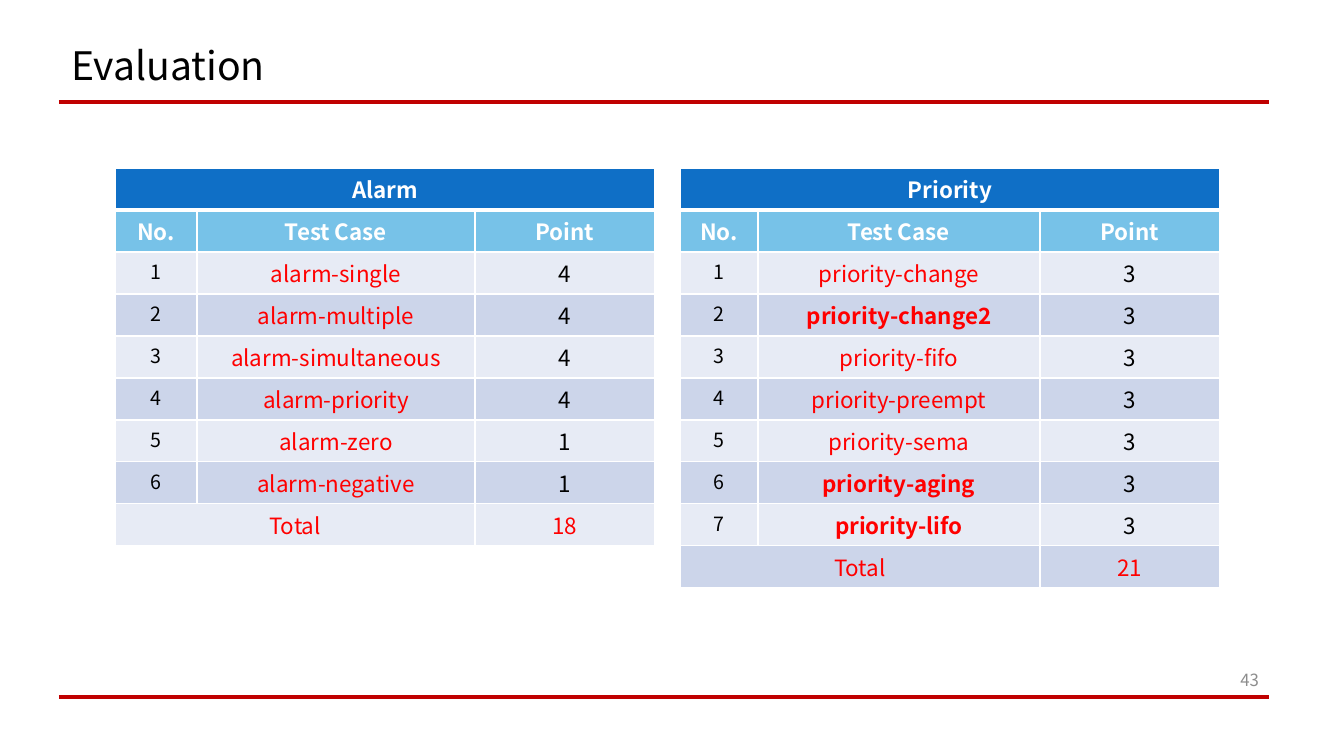
"""Build the Evaluation slide with its two test case tables."""
from lxml.etree import SubElement
from pptx import Presentation
from pptx.dml.color import RGBColor
from pptx.enum.shapes import MSO_CONNECTOR
from pptx.enum.text import MSO_ANCHOR, PP_ALIGN
from pptx.oxml.ns import qn
from pptx.util import Emu, Pt

FONT = "Noto Sans CJK KR"
BLACK, WHITE, RED, GRAY = "000000", "FFFFFF", "FF0000", "8C8C8C"
RULE, HEADING, SUBHEADING = "C00000", "0F6FC6", "77C2E8"
BANDS = ("E7EBF5", "CCD5EA")
TITLE, PAGE = "Evaluation", "43"
HEADERS = ("No.", "Test Case", "Point")
TABLES = [
    {"name": "Alarm", "left": 115, "columns": (82, 278, 180), "bold": (),
     "cases": [("alarm-single", 4), ("alarm-multiple", 4),
               ("alarm-simultaneous", 4), ("alarm-priority", 4),
               ("alarm-zero", 1), ("alarm-negative", 1)]},
    {"name": "Priority", "left": 680, "columns": (78, 282, 180),
     "bold": ("priority-change2", "priority-aging", "priority-lifo"),
     "cases": [("priority-change", 3), ("priority-change2", 3),
               ("priority-fifo", 3), ("priority-preempt", 3),
               ("priority-sema", 3), ("priority-aging", 3),
               ("priority-lifo", 3)]},
]
TABLE_TOP, ROW_HEIGHT = 168, 42
RULE_LEFT, RULE_RIGHT, RULE_TOPS = 59, 1269, (102, 697)


def px(length):
    return Emu(round(length * 914400 / 100.8))


def color(value):
    return RGBColor.from_string(value)


def write(frame, text, size, fill, align, bold=False):
    paragraph = frame.paragraphs[0]
    paragraph.alignment = align
    run = paragraph.add_run()
    run.text = text
    run.font.name = FONT
    run.font.size = Pt(size)
    run.font.bold = bold
    run.font.color.rgb = color(fill)
    return paragraph


def set_borders(cell, top, bottom):
    properties = cell._tc.get_or_add_tcPr()
    for side, width in (("L", 1), ("R", 1), ("T", top), ("B", bottom)):
        border = SubElement(properties, qn(f"a:ln{side}"), w=str(Pt(width)))
        fill = SubElement(border, qn("a:solidFill"))
        SubElement(fill, qn("a:srgbClr"), val=WHITE)


def table_rows(data):
    """Return each row as a fill and a list of (text, size, colour, bold)."""
    rows = [(HEADING, [(data["name"], 16, WHITE, True)]),
            (SUBHEADING, [(text, 16, WHITE, True) for text in HEADERS])]
    for index, (case, points) in enumerate(data["cases"]):
        rows.append((BANDS[index % 2], [
            (str(index + 1), 14, BLACK, False),
            (case, 16, RED, case in data["bold"]),
            (str(points), 16, BLACK, False)]))
    total = sum(points for _, points in data["cases"])
    rows.append((BANDS[len(data["cases"]) % 2], [
        ("Total", 16, RED, False), None, (str(total), 16, RED, False)]))
    return rows


def add_score_table(slide, data):
    rows = table_rows(data)
    table = slide.shapes.add_table(
        len(rows), len(HEADERS), px(data["left"]), px(TABLE_TOP),
        px(sum(data["columns"])), px(ROW_HEIGHT * len(rows))).table
    for column, width in zip(table.columns, data["columns"]):
        column.width = px(width)
    for index, (fill, entries) in enumerate(rows):
        table.rows[index].height = px(ROW_HEIGHT)
        for cell in table.rows[index].cells:
            set_borders(cell, 3 if index == 1 else 1, 3 if index == 0 else 1)
            cell.fill.solid()
            cell.fill.fore_color.rgb = color(fill)
        for position, entry in enumerate(entries):
            if entry:
                text, size, ink, bold = entry
                write(table.cell(index, position).text_frame, text, size, ink,
                      PP_ALIGN.CENTER, bold)
    last = len(rows) - 1
    table.cell(0, 0).merge(table.cell(0, 2))
    table.cell(last, 0).merge(table.cell(last, 1))


presentation = Presentation()
presentation.slide_width, presentation.slide_height = px(1344), px(756)
slide = presentation.slides.add_slide(presentation.slide_layouts[5])

for top in RULE_TOPS:
    line = slide.shapes.add_connector(
        MSO_CONNECTOR.STRAIGHT, px(RULE_LEFT), px(top), px(RULE_RIGHT), px(top))
    line.line.color.rgb = color(RULE)
    line.line.width = Pt(2.25)
    SubElement(line._element.spPr, qn("a:effectLst"))

title = slide.shapes.title
title.left, title.top, title.width, title.height = map(px, (61, 41, 1159, 53))
title.text_frame.margin_top = title.text_frame.margin_bottom = 0
title.text_frame.vertical_anchor = MSO_ANCHOR.MIDDLE
write(title.text_frame, TITLE, 28, BLACK, PP_ALIGN.LEFT).line_spacing = 0.9

page = slide.shapes.add_textbox(*map(px, (1220, 660, 49, 40))).text_frame
page.word_wrap = True
page.vertical_anchor = MSO_ANCHOR.MIDDLE
write(page, PAGE, 12, GRAY, PP_ALIGN.RIGHT)

for data in TABLES:
    add_score_table(slide, data)

presentation.save("out.pptx")
